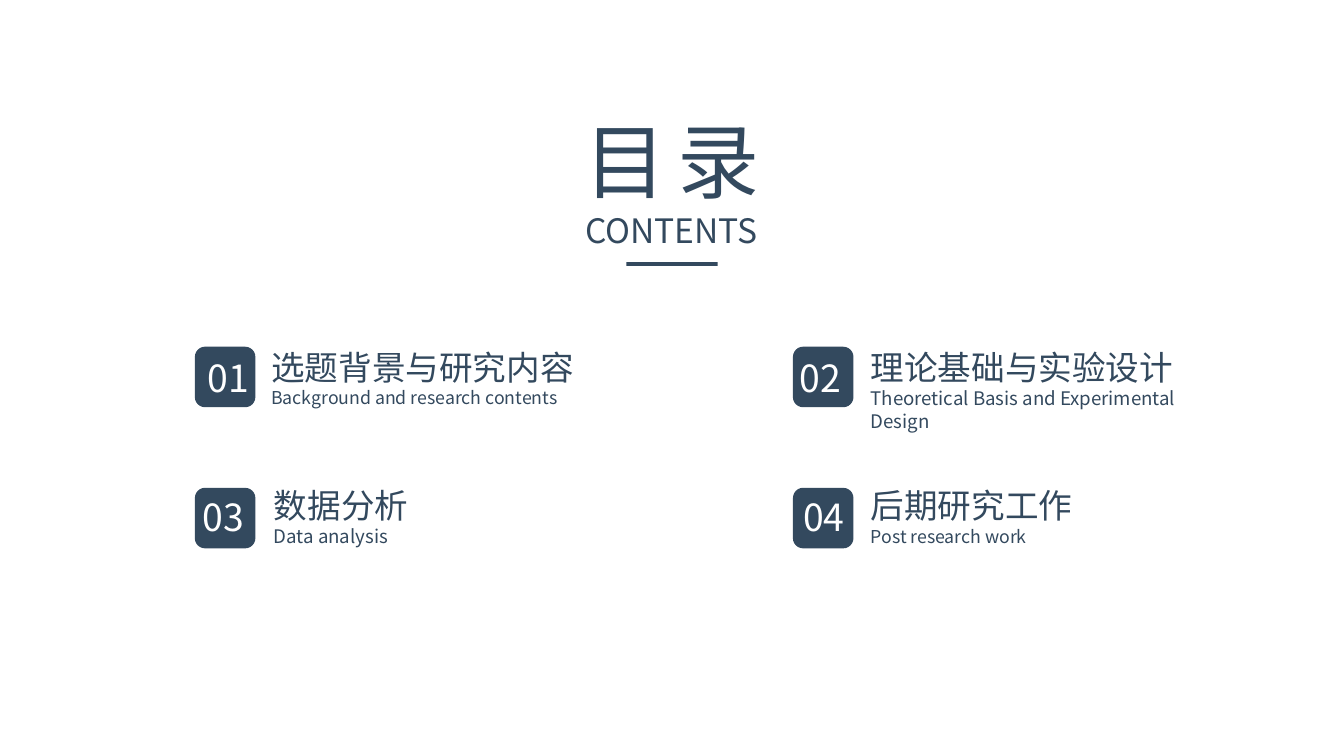
"""Build the contents slide: a centred heading over four numbered sections."""
import pptx
import pptx.dml.color
import pptx.enum.shapes
import pptx.enum.text
import pptx.oxml.ns
import pptx.util
from lxml import etree

Inches = pptx.util.Inches
FONT = "Noto Sans CJK SC"
NAVY, WHITE = "33495E", "FFFFFF"
WIDTH = 10
BADGE = 0.45
COLUMNS = (1.45, 5.9)
ROWS = (2.58, 3.63)

HEADINGS = [
    ("目 录", (3.99, 0.77, 2.02, 0.84), 44, -220),
    ("CONTENTS", (4.08, 1.51, 1.83, 0.4), 18, None),
]
SECTIONS = [
    dict(number="01", title="选题背景与研究内容", english="Background and research contents",
         size=9.5, number_at=(1.4, 2.59), center=True, label_at=(1.92, 2.53), width=3.15),
    dict(number="02", title="理论基础与实验设计", english="Theoretical Basis and Experimental Design",
         size=10, number_at=(5.85, 2.59), center=False, label_at=(6.38, 2.53), width=2.89),
    dict(number="03", title="数据分析", english="Data analysis",
         size=10, number_at=(1.41, 3.63), center=False, label_at=(1.94, 3.56), width=3.13),
    dict(number="04", title="后期研究工作", english="Post research work",
         size=9.5, number_at=(5.83, 3.63), center=True, label_at=(6.38, 3.56), width=2.88),
]


def rgb(color):
    return pptx.dml.color.RGBColor.from_string(color)


def add_block(s, kind, box):
    sp = s.shapes.add_shape(kind, *map(Inches, box))
    sp.shadow.inherit = False
    sp.fill.solid()
    sp.fill.fore_color.rgb = rgb(NAVY)
    sp.line.fill.background()


def add_text(s, lines, box, color=NAVY, center=False, spacing=None):
    tf = s.shapes.add_textbox(*map(Inches, box)).text_frame
    tf.word_wrap = True
    tf.auto_size = pptx.enum.text.MSO_AUTO_SIZE.SHAPE_TO_FIT_TEXT
    align = pptx.enum.text.PP_ALIGN
    for i, (text, size) in enumerate(lines):
        p = tf.add_paragraph() if i else tf.paragraphs[0]
        p.alignment = align.CENTER if center else align.LEFT
        r = p.add_run()
        r.text = text
        r.font.size = pptx.util.Pt(size)
        r.font.name = FONT
        r.font.color.rgb = rgb(color)
        rPr = r.font._element
        etree.SubElement(rPr, pptx.oxml.ns.qn("a:ea"), typeface=FONT)
        if spacing:
            rPr.set("spc", str(spacing))


def main():
    prs = pptx.Presentation()
    prs.slide_width, prs.slide_height = Inches(WIDTH), Inches(WIDTH * 9 / 16)
    s = prs.slides.add_slide(prs.slide_layouts[6])
    shapes = pptx.enum.shapes.MSO_SHAPE

    for i, item in enumerate(SECTIONS):
        row, col = divmod(i, len(COLUMNS))
        add_text(s, [(item["title"], 18), (item["english"], item["size"])],
                 (*item["label_at"], item["width"], 0.56))
        add_block(s, shapes.ROUNDED_RECTANGLE, (COLUMNS[col], ROWS[row], BADGE, BADGE))
        add_text(s, [(item["number"], 20)], (*item["number_at"], 0.6, 0.44),
                 color=WHITE, center=item["center"])

    for text, box, size, spacing in HEADINGS:
        add_text(s, [(text, size)], box, center=True, spacing=spacing)
    add_block(s, shapes.RECTANGLE, (4.66, 1.95, 0.68, 0.03))
    prs.save("out.pptx")


if __name__ == "__main__":
    main()
